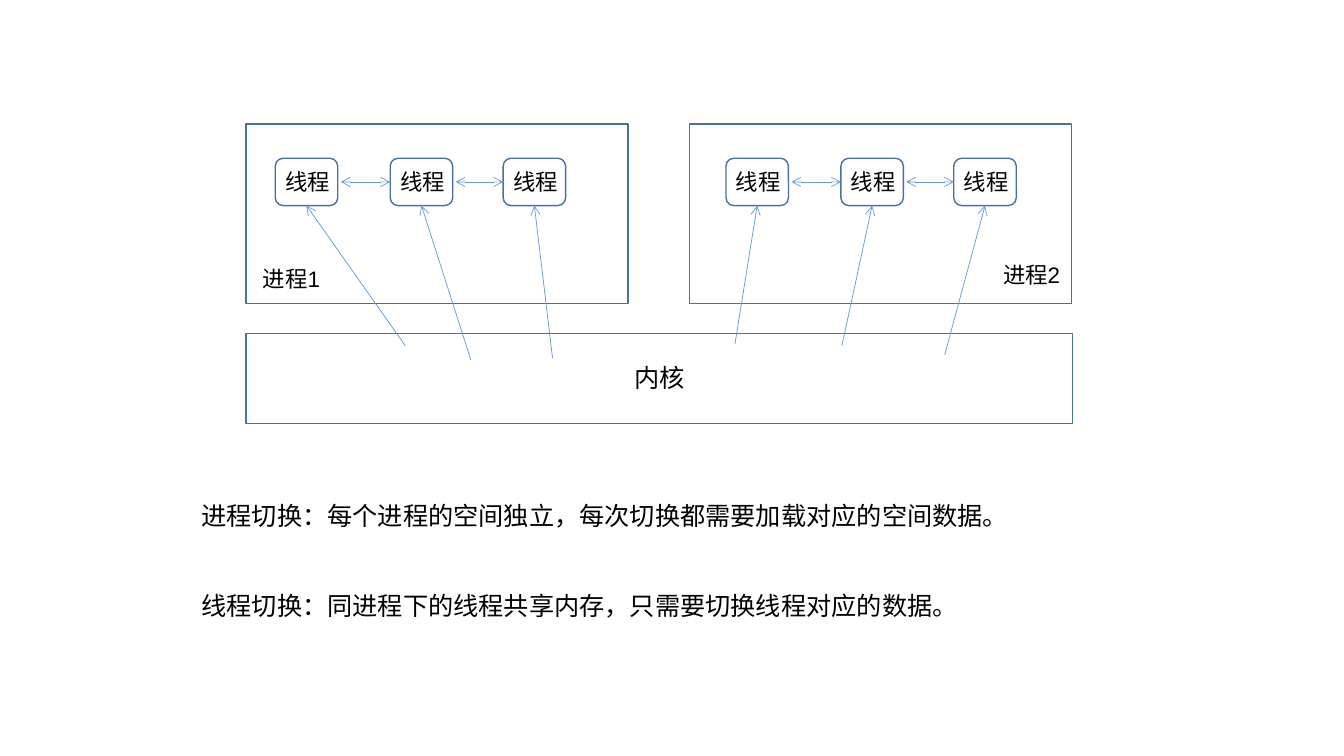
from lxml import etree
from pptx import Presentation
from pptx.dml.color import RGBColor
from pptx.enum.shapes import MSO_CONNECTOR as CONN, MSO_SHAPE as SHAPE
from pptx.enum.text import MSO_AUTO_SIZE as AUTO
from pptx.oxml.ns import qn
from pptx.util import Inches, Pt

BORDER = RGBColor(0x47, 0x6F, 0xAA)
ARROW = RGBColor(0x60, 0x96, 0xE6)
BLACK = RGBColor(0, 0, 0)

THREAD_OFFSETS = (0, 1.14, 2.26)
THREAD_TOP, THREAD_W, THREAD_H = 1.57, 0.62, 0.47

# Per process: box left, first thread left, arrow starts in the kernel,
# label text, label left, label top
PROCESSES = (
    (2.44, 2.73, ((4.02, 3.43), (4.67, 3.57), (5.48, 3.55)), "进程1", 2.51, 2.58),
    (6.84, 7.2, ((7.29, 3.41), (8.35, 3.43), (9.37, 3.52)), "进程2", 9.85, 2.54),
)

# Text, top, width
NOTES = (
    ("进程切换：每个进程的空间独立，每次切换都需要加载对应的空间数据。", 4.91, 8.2),
    ("线程切换：同进程下的线程共享内存，只需要切换线程对应的数据。", 5.81, 7.7),
)


def add_box(slide, kind, x, y, w, h):
    sp = slide.shapes.add_shape(kind, Inches(x), Inches(y), Inches(w), Inches(h))
    sp.shadow.inherit = False
    sp.fill.background()
    sp.line.color.rgb = BORDER
    sp.line.width = Pt(1)
    return sp


def add_text(slide, text, x, y, w, h, size, wrap=False):
    tf = slide.shapes.add_textbox(Inches(x), Inches(y), Inches(w), Inches(h)).text_frame
    tf.word_wrap = wrap
    tf.auto_size = AUTO.SHAPE_TO_FIT_TEXT
    p = tf.paragraphs[0]
    p.text = text
    p.font.name = "Arial"
    p.font.size = Pt(size)
    p.font.color.rgb = BLACK


def add_arrow(slide, x, y, target, site, both=False):
    """Draw an arrow from a point to a connection site of the target."""
    start = Inches(x), Inches(y)
    cxn = slide.shapes.add_connector(CONN.STRAIGHT, *start, *start)
    cxn.end_connect(target, site)
    cxn.line.color.rgb = ARROW
    cxn.line.width = Pt(0.5)
    ln = cxn.line._get_or_add_ln()
    for tag in ("a:headEnd", "a:tailEnd") if both else ("a:tailEnd",):
        etree.SubElement(ln, qn(tag), type="arrow")
    etree.SubElement(cxn._element.spPr, qn("a:effectLst"))


def add_thread(slide, x):
    sp = add_box(slide, SHAPE.ROUNDED_RECTANGLE, x, THREAD_TOP, THREAD_W, THREAD_H)
    add_text(slide, "线程", x, 1.62, 0.64, 0.37, 16)
    return sp


def add_process(slide, left, first, starts, label, label_x, label_y):
    add_box(slide, SHAPE.RECTANGLE, left, 1.23, 3.79, 1.78)
    xs = [first + offset for offset in THREAD_OFFSETS]
    threads = [add_thread(slide, x) for x in xs]

    # Links between neighbouring threads
    for x, neighbour in zip(xs, threads[1:]):
        add_arrow(slide, x + THREAD_W + 0.03, THREAD_TOP + THREAD_H / 2,
                  neighbour, 1, both=True)

    # Kernel to threads
    for (x, y), thread in zip(starts, threads):
        add_arrow(slide, x, y, thread, 2)

    add_text(slide, label, label_x, label_y, 0.77, 0.37, 16, wrap=True)


def main():
    prs = Presentation()
    prs.slide_width, prs.slide_height = Inches(13.33), Inches(7.5)
    slide = prs.slides.add_slide(prs.slide_layouts[6])

    # Kernel
    add_box(slide, SHAPE.RECTANGLE, 2.44, 3.31, 8.2, 0.89)
    add_text(slide, "内核", 6.19, 3.55, 0.7, 0.4, 18)

    # Processes with their threads
    for process in PROCESSES:
        add_process(slide, *process)

    # Explanations
    for text, top, width in NOTES:
        add_text(slide, text, 1.9, top, width, 0.4, 18)

    prs.save("out.pptx")


if __name__ == "__main__":
    main()
